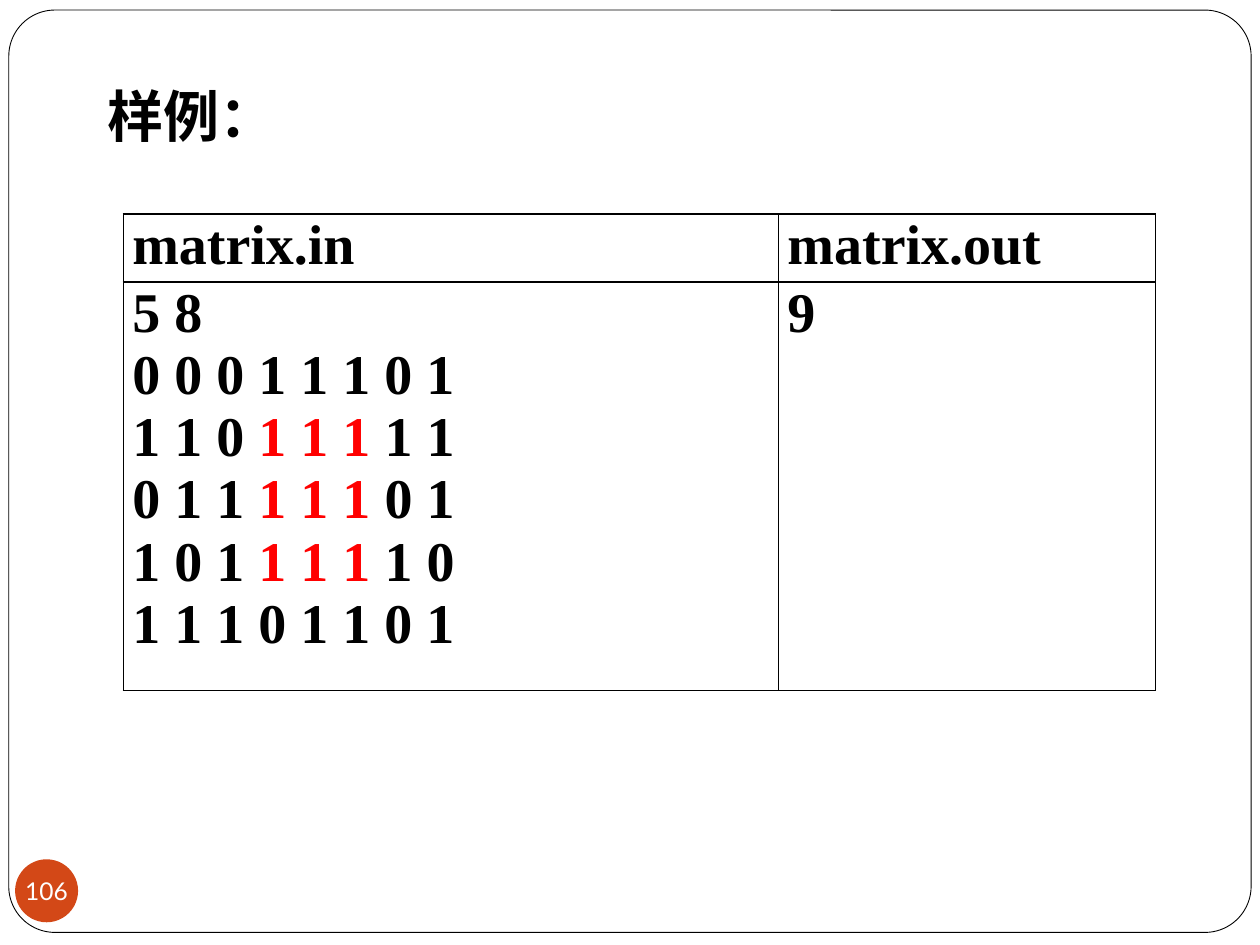
from lxml.etree import SubElement
from pptx import Presentation
from pptx.dml.color import RGBColor
from pptx.enum.shapes import MSO_SHAPE as Shape
from pptx.enum.text import MSO_ANCHOR as Anchor, PP_ALIGN as Align
from pptx.oxml.ns import qn
from pptx.util import Inches, Pt

BLACK = RGBColor(0x00, 0x00, 0x00)
WHITE = RGBColor(0xFF, 0xFF, 0xFF)
RED = RGBColor(0xFF, 0x00, 0x00)
ORANGE = RGBColor(0xD3, 0x48, 0x17)
SERIF, SANS = "Times New Roman", "Lato"

# Content: a cell is a list of lines, a line is a list of (text, colour) runs
TITLE = "样例："
PAGE_NUMBER = "106"


def plain(text):
    return [(text, BLACK)]


def marked(before, after):
    return [(before, BLACK), ("1 1 1 ", RED), (after, BLACK)]


CELLS = [
    [[plain("matrix.in")], [plain("matrix.out")]],
    [
        [
            plain("5 8"),
            plain("0 0 0 1 1 1 0 1"),
            marked("1 1 0 ", "1 1"),
            marked("0 1 1 ", "0 1"),
            marked("1 0 1 ", "1 0"),
            plain("1 1 1 0 1 1 0 1"),
        ],
        [plain("9")],
    ],
]
COLUMN_WIDTHS = [5.2, 2.99]
ROW_HEIGHTS = [0.54, 3.24]


def add_span(para, text, size, font, colour, bold=False):
    span = para.add_run()
    span.text = text
    span.font.size = Pt(size)
    span.font.name = font
    span.font.bold = bold
    span.font.color.rgb = colour


def add_borders(cell):
    properties = cell._tc.get_or_add_tcPr()
    for side in ("a:lnL", "a:lnR", "a:lnT", "a:lnB"):
        line = SubElement(properties, qn(side), w=str(Pt(1)))
        fill = SubElement(line, qn("a:solidFill"))
        SubElement(fill, qn("a:srgbClr"), val=str(BLACK))


def add_shape(page, kind, left, top, width, height, colour):
    shape = page.shapes.add_shape(
        kind, Inches(left), Inches(top), Inches(width), Inches(height))
    shape.shadow.inherit = False
    shape.fill.solid()
    shape.fill.fore_color.rgb = colour
    return shape


deck = Presentation()
deck.slide_width, deck.slide_height = Inches(10), Inches(7.5)
page = deck.slides.add_slide(deck.slide_layouts[5])
title = page.shapes.title

# Rounded frame, placed behind the title
frame = add_shape(page, Shape.ROUNDED_RECTANGLE, 0.07, 0.08, 9.86, 7.32, WHITE)
frame.adjustments[0] = 0.05
frame.line.color.rgb = BLACK
frame.line.width = Pt(0.5)
title.element.addprevious(frame.element)

# Page number badge
badge = add_shape(page, Shape.OVAL, 0.12, 6.82, 0.5, 0.5, ORANGE)
badge.line.fill.background()
box = badge.text_frame
box.margin_left = box.margin_right = box.margin_top = box.margin_bottom = 0
box.word_wrap = False
box.vertical_anchor = Anchor.MIDDLE
box.paragraphs[0].alignment = Align.CENTER
add_span(box.paragraphs[0], PAGE_NUMBER, 14, SANS, WHITE)

# Title
title.left, title.top = Inches(0.75), Inches(0.6)
title.width, title.height = Inches(8.5), Inches(0.79)
title.text_frame.vertical_anchor = Anchor.TOP
title.text_frame.paragraphs[0].alignment = Align.LEFT
add_span(title.text_frame.paragraphs[0], TITLE, 32, SERIF, BLACK, bold=True)

# Sample input and output table
table = page.shapes.add_table(
    len(ROW_HEIGHTS), len(COLUMN_WIDTHS), Inches(0.98), Inches(1.7),
    Inches(sum(COLUMN_WIDTHS)), Inches(sum(ROW_HEIGHTS))).table
table.first_row = table.horz_banding = False
for column, width in zip(table.columns, COLUMN_WIDTHS):
    column.width = Inches(width)
for row, height, contents in zip(table.rows, ROW_HEIGHTS, CELLS):
    row.height = Inches(height)
    for cell, lines in zip(row.cells, contents):
        add_borders(cell)
        cell.fill.solid()
        cell.fill.fore_color.rgb = WHITE
        cell.margin_left = cell.margin_right = Inches(0.07)
        cell.margin_top = cell.margin_bottom = 0
        for index, line in enumerate(lines):
            box = cell.text_frame
            para = box.add_paragraph() if index else box.paragraphs[0]
            para.alignment = Align.JUSTIFY
            for text, colour in line:
                add_span(para, text, 32, SERIF, colour, bold=True)

deck.save("out.pptx")
